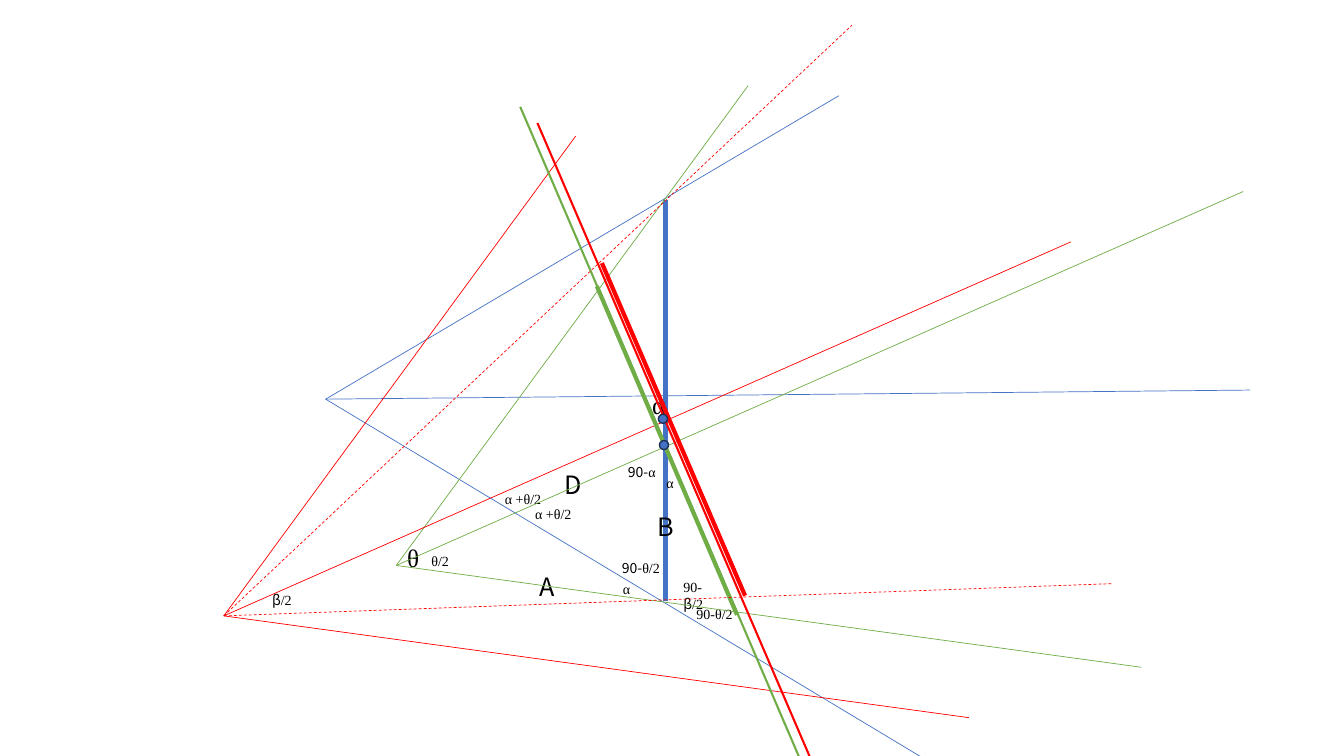
import pptx
import pptx.dml.color
import pptx.enum.dml
import pptx.enum.shapes
import pptx.enum.text
import pptx.oxml.xmlchemy
import pptx.util

COLORS = {
    "blue": "4472C4",
    "green": "70AD47",
    "red": "FF0000",
    "outline": "1E3256",
    "text": "000000",
}
SANS, SERIF = "Noto Sans CJK SC", "Times New Roman"
THIN, MEDIUM, THICK = 0.5, 1.5, 3
CELL = pptx.util.Inches(0.1)  # the drawing grid: 133.3 columns by 75 rows


def rgb(name):
    return pptx.dml.color.RGBColor.from_string(COLORS[name])


def draw_line(shapes, start, end, color, width, dashed=False):
    """Draw a straight line between two (column, row) grid points."""
    ends = [round(value * CELL) for value in (*start, *end)]
    line = shapes.add_connector(pptx.enum.shapes.MSO_CONNECTOR.STRAIGHT, *ends)
    line.line.color.rgb = rgb(color)
    line.line.width = pptx.util.Pt(width)
    if dashed:
        line.line.dash_style = pptx.enum.dml.MSO_LINE.DASH
    no_shadow = pptx.oxml.xmlchemy.OxmlElement("a:effectLst")
    line._element.spPr.append(no_shadow)


presentation = pptx.Presentation()
presentation.slide_width = pptx.util.Inches(13.33)
presentation.slide_height = pptx.util.Inches(7.5)
slide = presentation.slides.add_slide(presentation.slide_layouts[6])

# Blue view: vertical plane and its cone of rays
blue_apex = (32.3, 39.6)
blue_view = slide.shapes.add_group_shape().shapes
draw_line(blue_view, (66, 19.8), (66, 59.6), "blue", THICK)
for ray_end in [(124, 38.7), (83.2, 9.5), (96.2, 78)]:
    draw_line(blue_view, blue_apex, ray_end, "blue", THIN)

# Labels: column, row, width, height, size, wrap, runs
labels = [
    (63.7, 38.1, 3.3, 4, 18, False, [("α", SERIF)]),
    (39.4, 53.3, 3.2, 4, 18, False, [("θ", SERIF)]),
    (65.1, 46.6, 2.8, 2.7, 10, False, [("α", SERIF)]),
    (60.7, 55, 5.9, 2.7, 10, False, [("90-", SANS), ("θ/2", SERIF)]),
    (61.3, 45.5, 6.3, 2.7, 10, True, [("90-", SANS), ("α", SERIF)]),
    (52.1, 49.7, 6.3, 2.7, 10, True, [("α +θ/2", SERIF)]),
    (41.8, 54.3, 3.8, 2.7, 10, False, [("θ/2", SERIF)]),
    (60.8, 57.1, 2.8, 2.7, 10, False, [("α", SERIF)]),
    (52.5, 56.2, 3.6, 4, 18, False, [("A", SANS)]),
    (64.2, 50.2, 3.4, 4, 18, False, [("B", SANS)]),
    (55, 46.1, 3.8, 4, 18, False, [("D", SANS)]),
    (68.1, 59.6, 5.6, 2.7, 10, False, [("90-θ/2", SERIF)]),
    (26, 58.2, 4.7, 2.7, 10, True, [("β", SANS), ("/2", SERIF)]),
    (66.8, 56.9, 5.7, 2.7, 10, True,
     [("90-", SERIF), ("β", SANS), ("/2", SERIF)]),
    (49.1, 48.2, 6.3, 2.7, 10, True, [("α +θ/2", SERIF)]),
]
for column, row, width, height, size, wrap, runs in labels:
    place = [round(value * CELL) for value in (column, row, width, height)]
    frame = slide.shapes.add_textbox(*place).text_frame
    frame.word_wrap = wrap
    frame.auto_size = pptx.enum.text.MSO_AUTO_SIZE.SHAPE_TO_FIT_TEXT
    for text, font_name in runs:
        run = frame.paragraphs[0].add_run()
        run.text = text
        run.font.name = font_name
        run.font.size = pptx.util.Pt(size)
        run.font.color.rgb = rgb("text")

# Green and red views share one cone shape, placed at two apexes
cone_rays = [(84, -37.1), (34.9, -47.6), (73.9, 10.1)]
apexes = {"green": (39.3, 56.1), "red": (22.2, 61.1)}
for color, (apex_column, apex_row) in apexes.items():
    view = slide.shapes.add_group_shape().shapes
    for columns, rows in cone_rays:
        ray_end = (apex_column + columns, apex_row + rows)
        draw_line(view, (apex_column, apex_row), ray_end, color, THIN)

# Tilted planes, with the visible part of each drawn thick
planes = [
    ((51.6, 10.6), (80.2, 77.3), "green", MEDIUM),
    ((59.2, 28.4), (73.1, 61), "green", THICK),
    ((53.3, 12.2), (82, 79), "red", MEDIUM),
    ((59.7, 26.1), (73.9, 59.1), "red", THICK),
]
for start, end, color, width in planes:
    draw_line(slide.shapes, start, end, color, width)

# Dashed rays from the red apex through the ends of the blue plane
for ray_end in [(84.5, 2.5), (110.4, 57.9)]:
    draw_line(slide.shapes, apexes["red"], ray_end, "red", THIN, dashed=True)

# Points where the planes cross
dot_size = round(0.9 * CELL)
for column, row in [(65.4, 43.7), (65.3, 41.1)]:
    dot = slide.shapes.add_shape(
        pptx.enum.shapes.MSO_SHAPE.OVAL,
        round(column * CELL), round(row * CELL), dot_size, dot_size)
    dot.shadow.inherit = False
    dot.fill.solid()
    dot.fill.fore_color.rgb = rgb("blue")
    dot.line.color.rgb = rgb("outline")
    dot.line.width = pptx.util.Pt(1)

presentation.save("out.pptx")
